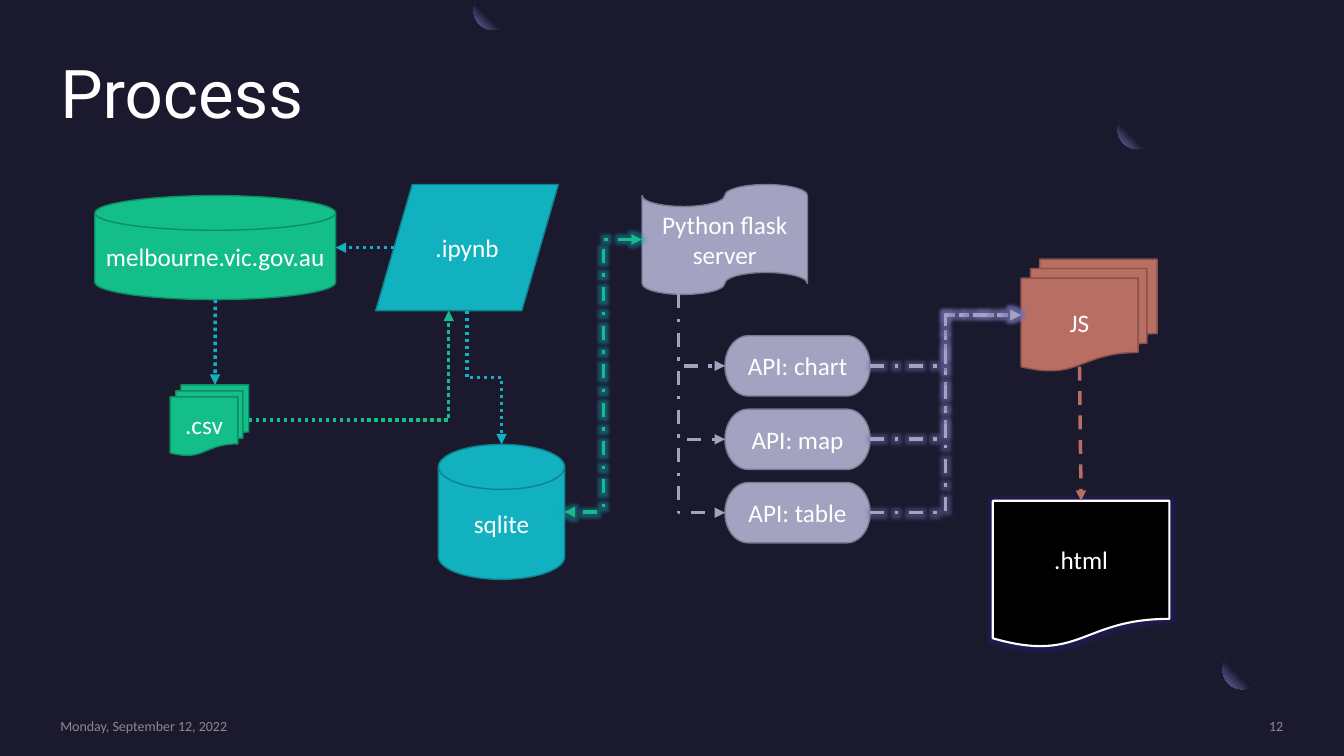
from math import asin, cos, pi, sin

from lxml import etree
from pptx import Presentation
from pptx.dml.color import RGBColor
from pptx.enum.dml import MSO_LINE
from pptx.enum.shapes import MSO_CONNECTOR, MSO_SHAPE
from pptx.enum.text import MSO_ANCHOR, PP_ALIGN
from pptx.oxml.ns import qn
from pptx.util import Cm, Pt

DISK = MSO_SHAPE.FLOWCHART_MAGNETIC_DISK
FILES = MSO_SHAPE.FLOWCHART_MULTIDOCUMENT
NOTEBOOK = MSO_SHAPE.FLOWCHART_DATA
TAPE = MSO_SHAPE.FLOWCHART_PUNCHED_TAPE
PILL = MSO_SHAPE.FLOWCHART_TERMINATOR
DOC = MSO_SHAPE.FLOWCHART_DOCUMENT
RECT, OVAL = MSO_SHAPE.RECTANGLE, MSO_SHAPE.OVAL
STRAIGHT, ELBOW = MSO_CONNECTOR.STRAIGHT, MSO_CONNECTOR.ELBOW
DOT, DASH, DASH_DOT = MSO_LINE.ROUND_DOT, MSO_LINE.DASH, MSO_LINE.DASH_DOT
LEFT, CENTER, RIGHT = PP_ALIGN.LEFT, PP_ALIGN.CENTER, PP_ALIGN.RIGHT
TOP, MIDDLE = MSO_ANCHOR.TOP, MSO_ANCHOR.MIDDLE

COLORS = {
    "night": "1B192E", "orb": "7771B2", "white": "FFFFFF", "black": "000000",
    "gray": "8A8A8E", "green": "13BE89", "green_edge": "0E8D65",
    "teal": "12B1BF", "teal_edge": "0D838D", "lilac": "A3A3C1",
    "lilac_edge": "79798F", "brick": "B86E62", "brick_edge": "885149",
    "navy": "23207A",
}


def rgb(name):
    return RGBColor.from_string(COLORS[name])


def add(parent, tag, **values):
    item = etree.SubElement(parent, qn(tag))
    for key, value in values.items():
        item.set(key, str(value))
    return item


def write(shape, text, size=18, font="Calibri", color="white", align=CENTER):
    para = shape.text_frame.paragraphs[0]
    para.alignment = align
    run = para.add_run()
    run.text = text
    for key, value in {"size": Pt(size), "name": font}.items():
        setattr(run.font, key, value)
    run.font.color.rgb = rgb(color)
    return para


def label(slide, box, text, anchor, **style):
    shape = slide.shapes.add_textbox(*map(Cm, box))
    frame = {"word_wrap": True, "vertical_anchor": anchor, "margin_left": 0,
             "margin_top": 0, "margin_right": 0, "margin_bottom": 0}
    for key, value in frame.items():
        setattr(shape.text_frame, key, value)
    return write(shape, text, **style)


def glow(props, color, size):
    halo = add(props.find(qn("a:effectLst")), "a:glow", rad=Pt(size))
    tint = add(halo, "a:srgbClr", val=COLORS[color])
    add(tint, "a:alpha", val=40000)


def node(slide, kind, box, text, color, edge, width=1):
    shape = slide.shapes.add_shape(kind, *map(Cm, box))
    shape.shadow.inherit = False
    shape.fill.solid()
    shape.fill.fore_color.rgb = rgb(color)
    shape.line.color.rgb = rgb(edge)
    shape.line.width = Pt(width)
    write(shape, text)
    return shape


def spot(shape, across, down):
    """Point at a fraction of a shape's width and height."""
    return (int(shape.left + shape.width * across),
            int(shape.top + shape.height * down))


def link(slide, start, end, color, dash, kind=ELBOW, preset=None,
         down=False, both=False, halo=None):
    (x1, y1), (x2, y2) = start, end
    if down:  # lay the route sideways, then turn it to leave downwards
        mx, my, dx, dy = (x1 + x2) // 2, (y1 + y2) // 2, x2 - x1, y2 - y1
        x1, y1 = mx + dy // 2, my - dx // 2
        x2, y2 = mx - dy // 2, my + dx // 2
    line = slide.shapes.add_connector(kind, x1, y1, x2, y2)
    line.line.color.rgb = rgb(color)
    line.line.width = Pt(2.5)
    line.line.dash_style = dash
    props = line._element.spPr
    if down:
        props.find(qn("a:xfrm")).set("rot", "16200000")
    if preset:
        props.find(qn("a:prstGeom")).set("prst", preset)
    stroke = props.find(qn("a:ln"))
    if both:
        add(stroke, "a:headEnd", type="triangle")
    add(stroke, "a:tailEnd", type="triangle")
    add(props, "a:effectLst")
    if halo:
        glow(props, halo, 5)
    return line


def shade(shape):
    """Radial glow from the top right corner."""
    shape.shadow.inherit = False
    shape.line.fill.background()
    shape.fill.background()
    props = shape._element.spPr
    old = props.find(qn("a:noFill"))
    grad = add(props, "a:gradFill", rotWithShape=1)
    stops = add(grad, "a:gsLst")
    for pos, name in ((60000, "night"), (100000, "orb")):
        add(add(stops, "a:gs", pos=pos), "a:srgbClr", val=COLORS[name])
    route = add(grad, "a:path", path="circle")
    add(route, "a:fillToRect", l=100000, b=100000)
    props.replace(old, grad)


def moon(slide, x, y, size=0.99, drop=0.26):
    """Disc cut flat along its top edge."""
    rad = size / 2
    cut = asin(drop / rad)
    turns = [-cut + (pi + 2 * cut) * i / 48 for i in range(49)]
    points = [(Cm(x + rad + rad * cos(t)), Cm(y + drop + rad * sin(t)))
              for t in turns]
    form = slide.shapes.build_freeform(*points[0])
    form.add_line_segments(points[1:], close=True)
    shade(form.convert_to_shape())


def decor(slide):
    orb = slide.shapes.add_shape(OVAL, Cm(30.81), Cm(16.38), Cm(0.99), Cm(0.99))
    shade(orb)
    veil = slide.shapes.add_shape(RECT, Cm(31.8), Cm(16.18), Cm(1.04), Cm(0.99))
    veil.shadow.inherit = False
    veil.line.fill.background()
    veil.fill.solid()
    veil.fill.fore_color.rgb = rgb("night")
    tint = veil._element.spPr.find(qn("a:solidFill"))[0]
    add(tint, "a:alpha", val=80000)
    moon(slide, 11.94, 0)
    moon(slide, 28.17, 3)


def frame(slide, x, y, w):
    title = label(slide, (x, y, w, 3.71), "Process", TOP, size=48,
                  font="Roboto", align=LEFT)
    title.line_spacing = 0.9
    foot = {"size": 10, "color": "gray"}
    label(slide, (x, y + 16.56, 7.32, 0.43), "Monday, September 12, 2022",
          MIDDLE, align=LEFT, **foot)
    label(slide, (x + w - 4.7, y + 16.56, 4.7, 0.43), "12", MIDDLE,
          align=RIGHT, **foot)


def store(slide, x, y):
    """Data source, files, notebook and database."""
    green, teal = ("green", "green_edge"), ("teal", "teal_edge")
    site = node(slide, DISK, (x + 0.39, y + 0.93, 6.07, 2.62),
                "melbourne.vic.gov.au", *green)
    csv = node(slide, FILES, (x + 2.29, y + 5.7, 1.98, 1.78), ".csv", *green)
    book = node(slide, NOTEBOOK, (x + 7.47, y + 0.65, 4.6, 3.18),
                ".ipynb", *teal)
    base = node(slide, DISK, (x + 9.05, y + 7.2, 3.18, 3.4), "sqlite", *teal)
    link(slide, spot(book, 0.1, 0.5), spot(site, 1, 0.5), "teal", DOT, STRAIGHT)
    link(slide, spot(site, 0.5, 1), spot(csv, 0.57, 0), "teal", DOT, STRAIGHT)
    link(slide, spot(csv, 1, 0.5), spot(book, 0.4, 1), "green", DOT,
         preset="bentConnector2")
    link(slide, spot(book, 0.5, 1), spot(base, 0.5, 0), "teal", DOT, down=True)
    return base


def server(slide, x, y):
    """Server with its three endpoints."""
    lilac = ("lilac", "lilac_edge")
    flask = node(slide, TAPE, (x + 0.18, y + 0.65, 4.17, 2.77),
                 "Python flask server", *lilac)
    ends = []
    for i, name in enumerate(("chart", "map", "table")):
        box = (x + 2.27, y + 4.46 + 1.85 * i, 3.66, 1.52)
        ends.append(node(slide, PILL, box, "API: " + name, *lilac))
        link(slide, spot(flask, 0.22, 1), spot(ends[i], 0, 0.5), "lilac",
             DASH_DOT, preset="bentConnector2", down=True)
    return flask, ends


def page(slide, x, y):
    """Scripts feeding the web page."""
    code = node(slide, FILES, (x + 0.73, y + 0.53, 3.43, 2.82), "JS",
                "brick", "brick_edge")
    html = node(slide, DOC, (x + 0.02, y + 6.62, 4.45, 3.71), ".html",
                "black", "white", 1.5)
    glow(html._element.spPr, "navy", 5)
    line = link(slide, spot(code, 0.43, 0.96), spot(html, 0.5, 0), "brick",
                DASH, STRAIGHT)
    line.end_connect(html, 0)
    return code


def main():
    deck = Presentation()
    deck.slide_width, deck.slide_height = Cm(33.87), Cm(19.05)
    slide = deck.slides.add_slide(deck.slide_layouts[6])
    slide.background.fill.solid()
    slide.background.fill.fore_color.rgb = rgb("night")
    decor(slide)
    frame(slide, 1.52, 1.52, 30.82)
    base = store(slide, 2, 4)
    flask, ends = server(slide, 16, 4)
    code = page(slide, 25, 6)
    # Links between the regions
    link(slide, spot(flask, 0, 0.5), spot(base, 1, 0.5), "green", DASH_DOT,
         both=True, halo="teal")
    for end in reversed(ends):
        link(slide, spot(end, 1, 0.5), spot(code, 0, 0.5), "lilac", DASH_DOT,
             halo="orb")
    deck.save("out.pptx")


if __name__ == "__main__":
    main()
